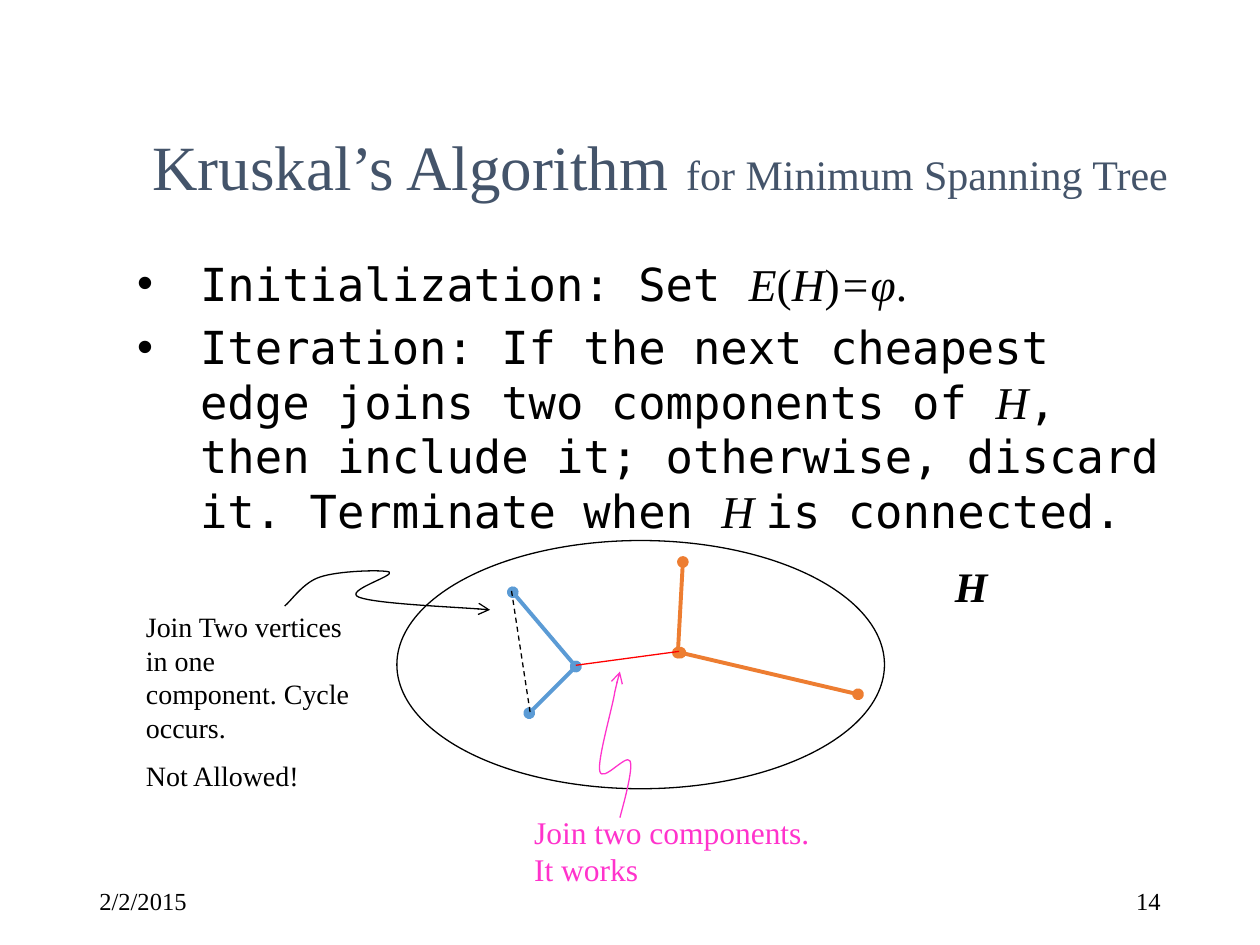
from dataclasses import dataclass

from lxml import etree
from pptx import Presentation
from pptx.dml.color import RGBColor
from pptx.enum.dml import MSO_LINE
from pptx.enum.shapes import MSO_CONNECTOR, MSO_SHAPE
from pptx.enum.text import MSO_ANCHOR, MSO_AUTO_SIZE, PP_ALIGN
from pptx.oxml.ns import qn
from pptx.util import Inches, Pt

DASH = MSO_LINE.DASH
STRAIGHT = MSO_CONNECTOR.STRAIGHT
OVAL = MSO_SHAPE.OVAL
TOP, MIDDLE = MSO_ANCHOR.TOP, MSO_ANCHOR.MIDDLE
FIXED = MSO_AUTO_SIZE.NONE
LEFT, CENTER, RIGHT = PP_ALIGN.LEFT, PP_ALIGN.CENTER, PP_ALIGN.RIGHT


@dataclass(frozen=True)
class Theme:
    serif: str = "Times New Roman"
    mono: str = "DejaVu Sans Mono"
    black: str = "000000"
    slate: str = "44546A"
    blue: str = "5B9BD5"
    orange: str = "ED7D31"
    red: str = "FF0000"
    pink: str = "FF33CC"
    title: float = 36
    title_gap: float = 40
    body: float = 26
    subtitle: float = 24
    caption: float = 18
    note: float = 16
    footer: float = 14
    thin: float = 0.75
    thick: float = 2.25


class SlideBuilder:
    """Holds the theme and the current slide."""

    def __init__(self, page, theme):
        self.page = page
        self.theme = theme

    def font(self, size, color=None, name=None, **extra):
        """Return the format values of a span."""
        return {"size": Pt(size), "name": name or self.theme.serif,
                "color": color or self.theme.black, **extra}

    def fill_text(self, box, paragraphs, anchor=TOP, **para_format):
        """Write paragraphs, each a list of (text, font values)."""
        frame = box.text_frame
        for key, value in {"word_wrap": True, "auto_size": FIXED,
                           "vertical_anchor": anchor}.items():
            setattr(frame, key, value)
        for index, spans in enumerate(paragraphs):
            para = frame.add_paragraph() if index else frame.paragraphs[0]
            for key, value in para_format.items():
                setattr(para, key, value)
            for text, values in spans:
                span = para.add_run()
                span.text = text
                for key, value in values.items():
                    if key == "color":
                        span.font.color.rgb = RGBColor.from_string(value)
                    else:
                        setattr(span.font, key, value)
        return frame

    def title(self, bounds, spans):
        box = self.page.shapes.title
        for key, value in zip(("left", "top", "width", "height"), bounds):
            setattr(box, key, Inches(value))
        self.fill_text(box, [spans], MIDDLE, alignment=CENTER, line_spacing=0.85)

    def text(self, bounds, paragraphs, anchor=TOP, **para_format):
        box = self.page.shapes.add_textbox(*map(Inches, bounds))
        return self.fill_text(box, paragraphs, anchor, **para_format)

    def bullets(self, bounds, paragraphs, **para_format):
        frame = self.text(bounds, paragraphs, **para_format)
        for para in frame.paragraphs:
            properties = para._p.get_or_add_pPr()
            properties.set("marL", str(Inches(0.5)))
            properties.set("indent", str(Inches(-0.5)))
            font = etree.SubElement(properties, qn("a:buFont"))
            font.set("typeface", "Arial")
            etree.SubElement(properties, qn("a:buChar")).set("char", "•")

    def stroke(self, shape, color, width, dash=None, head=None, tail=None):
        """Format an outline and its line ends."""
        shape.line.color.rgb = RGBColor.from_string(color)
        shape.line.width = Pt(width)
        if dash:
            shape.line.dash_style = dash
        outline = shape.line._get_or_add_ln()
        for tag, kind in (("a:headEnd", head), ("a:tailEnd", tail)):
            if kind:
                etree.SubElement(outline, qn(tag)).set("type", kind)

    def ellipse(self, bounds, color, width):
        shape = self.page.shapes.add_shape(OVAL, *map(Inches, bounds))
        shape.shadow.inherit = False
        shape.fill.background()
        self.stroke(shape, color, width)

    def line(self, start, end, color, width, **ends):
        connector = self.page.shapes.add_connector(
            STRAIGHT, *map(Inches, (*start, *end)))
        self.stroke(connector, color, width, **ends)
        etree.SubElement(connector._element.spPr, qn("a:effectLst"))

    def curve_arrow(self, points, color):
        """Draw a Bézier arrow: a start, then three points per segment."""
        start, *rest = [(Inches(x), Inches(y)) for x, y in points]
        builder = self.page.shapes.build_freeform(*start)
        builder.add_line_segments(rest, close=False)
        shape = builder.convert_to_shape()
        shape.shadow.inherit = False
        shape.fill.background()
        self.stroke(shape, color, self.theme.thin, tail="arrow")
        # Turn each three straight steps into one cubic segment
        outline = next(shape._element.iter(qn("a:path")))
        steps = outline.findall(qn("a:lnTo"))
        for first in range(0, len(steps), 3):
            cubic = etree.SubElement(outline, qn("a:cubicBezTo"))
            for step in steps[first:first + 3]:
                cubic.append(step[0])
                outline.remove(step)


def main():
    theme = Theme()
    deck = Presentation()
    deck.slide_width, deck.slide_height = Inches(10), Inches(7.5)
    page = deck.slides.add_slide(deck.slide_layouts[5])
    slide = SlideBuilder(page, theme)

    # Date and page number
    footer = slide.font(theme.footer)
    for left, text, side in ((0.69, "2/2/2015", LEFT), (7.06, "14", RIGHT)):
        slide.text((left, 6.95, 2.25, 0.4), [[(text, footer)]], MIDDLE,
                   alignment=side)

    # Title
    slide.title((0.99, 0.79, 8.5, 1.11), [
        ("Kruskal’s Algorithm", slide.font(theme.title, theme.slate)),
        (" ", slide.font(theme.title_gap, theme.slate)),
        ("for Minimum Spanning Tree", slide.font(theme.subtitle, theme.slate))])

    # Steps of the algorithm
    mono = slide.font(theme.body, name=theme.mono)
    plain = slide.font(theme.body)
    symbol = slide.font(theme.body, italic=True)
    slide.bullets((0.99, 1.98, 8.5, 1.93), [
        [("Initialization: Set ", mono), ("E", symbol), ("(", plain),
         ("H", symbol), (")", plain), ("=φ", symbol), (".", plain)],
        [("Iteration: If the next cheapest edge joins two components of ", mono),
         ("H", symbol),
         (", then include it; otherwise, discard it. Terminate when ", mono),
         ("H ", symbol), ("is connected.", mono)],
    ], space_before=Pt(theme.body * 0.2))

    # Graph H with its two components
    slide.ellipse((3.15, 4.29, 3.87, 1.97), theme.black, theme.thin)
    slide.text((7.48, 4.4, 0.9, 0.5),
               [[("H", slide.font(theme.subtitle, bold=True, italic=True))]],
               space_before=Pt(theme.subtitle / 2))
    for start, end, color in (
            ((4.07, 4.7), (4.57, 5.29), theme.blue),
            ((4.57, 5.29), (4.2, 5.66), theme.blue),
            ((6.81, 5.51), (5.4, 5.18), theme.orange),
            ((5.38, 5.18), (5.42, 4.46), theme.orange)):
        slide.line(start, end, color, theme.thick, head="oval", tail="oval")

    # Rejected edge and its note
    slide.line((4.06, 4.69), (4.21, 5.67), theme.black, theme.thin, dash=DASH)
    slide.curve_arrow([
        (2.26, 4.81), (2.31, 4.77), (2.41, 4.62), (2.54, 4.58),
        (2.68, 4.53), (3.04, 4.52), (3.09, 4.54),
        (3.14, 4.57), (2.72, 4.69), (2.85, 4.74),
        (2.98, 4.79), (3.67, 4.82), (3.89, 4.84)], theme.black)
    note = slide.font(theme.note)
    slide.text((1.06, 4.79, 1.81, 1.3), [
        [("Join Two vertices in one component. Cycle occurs.", note)],
        [("Not Allowed!", note)]], space_before=Pt(theme.note / 2))

    # Accepted edge and its note
    slide.line((4.57, 5.28), (5.39, 5.17), theme.red, theme.thin)
    slide.curve_arrow([
        (4.92, 6.49), (4.94, 6.41), (5.03, 6.1), (5, 6.04),
        (4.97, 5.98), (4.78, 6.22), (4.76, 6.12),
        (4.74, 6.03), (4.86, 5.62), (4.88, 5.49),
        (4.91, 5.36), (4.91, 5.35), (4.92, 5.33)], theme.pink)
    slide.text((4.14, 6.4, 2.52, 0.7), [
        [("Join two components. It works", slide.font(theme.caption, theme.pink))]],
        space_before=Pt(theme.caption / 2))

    deck.save("out.pptx")


if __name__ == "__main__":
    main()
